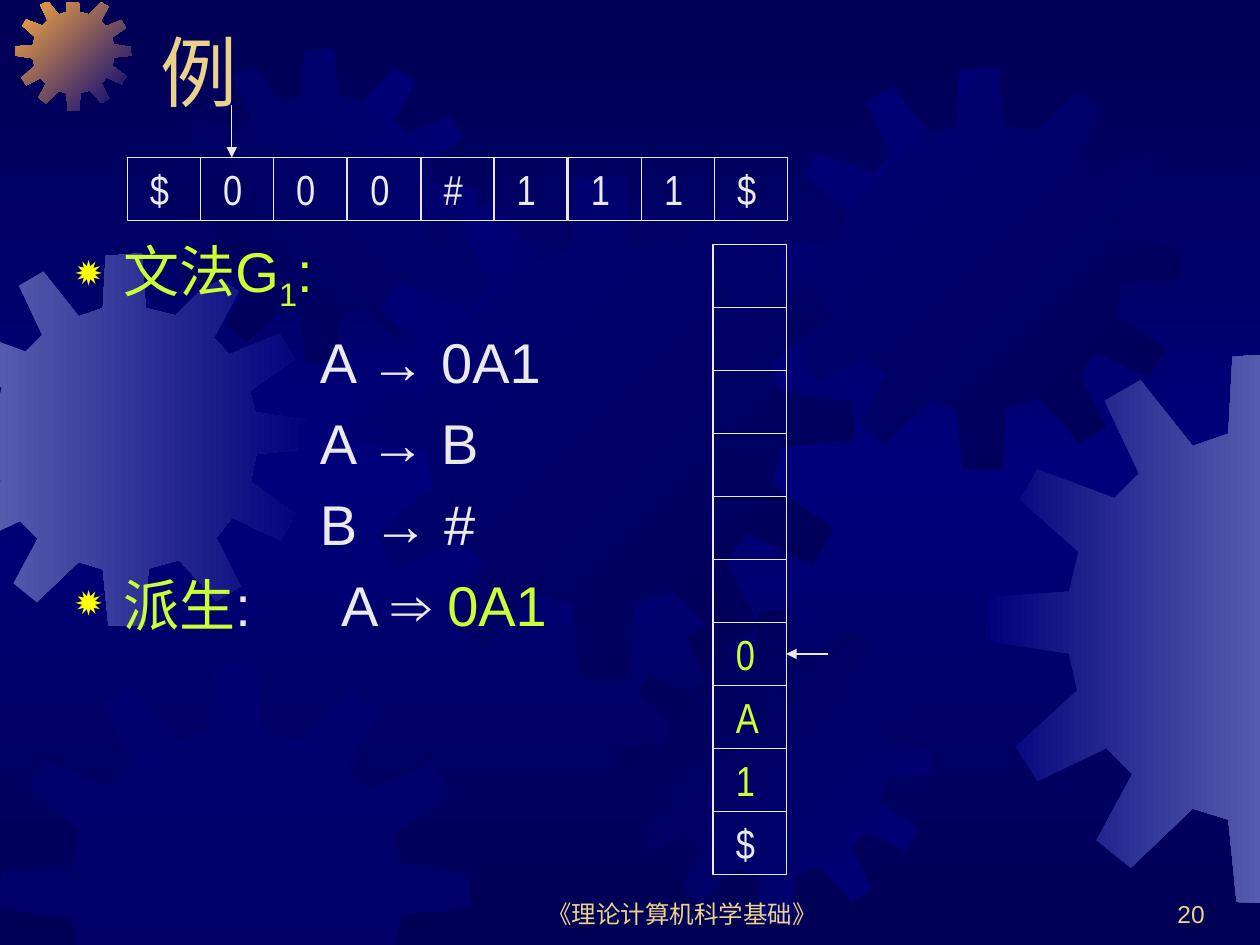
from copy import deepcopy

from lxml import etree
from pptx import Presentation, util as u
from pptx.dml.color import RGBColor
from pptx.enum import shapes, text
from pptx.oxml.ns import qn

PX = 9144  # 100 px to the inch
NIGHT = RGBColor(0x00, 0x00, 0x54)
NAVY = RGBColor(0x00, 0x00, 0x7A)
STEEL = RGBColor(0x55, 0x5B, 0xAD)
ORANGE = RGBColor(0xFC, 0xAB, 0x40)
SAND = RGBColor(0xEB, 0xD1, 0x89)
WHITE = RGBColor(0xEA, 0xEA, 0xEA)
LIME = RGBColor(0xCC, 0xFF, 0x33)

# One gear outline on a 401 unit square; every gear is a scaled version of it
GEAR = [tuple(map(int, point.split(","))) for point in """
255,67 223,59 219,0 180,3 177,59 151,68 113,20 87,35 112,88 94,106 38,85 25,107
68,145 61,174 1,178 0,210 61,219 67,246 22,287 38,312 88,288 107,307 81,355
106,375 151,332 177,340 183,400 222,401 226,339 259,330 299,374 325,358 299,306
316,284 368,309 384,281 336,246 342,216 401,210 400,180 341,171 335,148 383,114
367,87 313,109 296,91 323,41 297,25""".split()]
# Axis, direction and limit of each edge where gears are cut off
EDGES = [(0, 1, -1), (0, -1, 1001), (1, 1, 2), (1, -1, 754)]

prs = Presentation()
prs.slide_width, prs.slide_height = 1000 * PX, 750 * PX
slide = prs.slides.add_slide(prs.slide_layouts[5])


def add_gear(left, top, size):
    points = [(left + x * size / 401, top + y * size / 401) for x, y in GEAR]
    for axis, sign, limit in EDGES:
        kept = []
        for a, b in zip(points[-1:] + points[:-1], points):
            inside_a, inside_b = ((p[axis] - limit) * sign >= 0 for p in (a, b))
            if inside_a != inside_b:
                t = (limit - a[axis]) / (b[axis] - a[axis])
                kept.append((a[0] + t * (b[0] - a[0]), a[1] + t * (b[1] - a[1])))
            if inside_b:
                kept.append(b)
        points = kept
    corners = [(round(x * PX), round(y * PX)) for x, y in points]
    outline = slide.shapes.build_freeform(*corners[0])
    outline.add_line_segments(corners[1:], close=True)
    gear = outline.convert_to_shape()
    gear.shadow.inherit = False
    gear.line.fill.background()
    return gear


def style(paragraph, size, color, align=text.PP_ALIGN.LEFT, face="Arial"):
    paragraph.alignment = align
    paragraph.font.size = u.Pt(size)
    paragraph.font.name = face
    paragraph.font.color.rgb = color


# Background: dark, lighter, dark from top to bottom
backdrop = slide.background.fill
backdrop.gradient()
backdrop.gradient_angle = 270
stops = slide.element.find(".//" + qn("a:gsLst"))
middle = deepcopy(stops[0])
middle.set("pos", "50000")
stops.insert(1, middle)
for stop, color in zip(backdrop.gradient_stops, (NIGHT, NAVY, NIGHT)):
    stop.color.rgb = color

# Gears: left, top, size, first colour, last colour, counter-clockwise angle
for left, top, size, first, last, angle in [
    (-49, 201, 296, STEEL, NAVY, 0),
    (12, -4, 92, ORANGE, NAVY, 315),
    (130, 39, 248, NIGHT, NAVY, 45),
    (277, 139, 401, NAVY, NIGHT, 315),
    (0, 525, 374, NAVY, None, 0),
    (491, 484, 248, NIGHT, NAVY, 315),
    (618, 53, 320, NAVY, NIGHT, 315),
    (782, 280, 437, NAVY, STEEL, 0),
]:
    gear = add_gear(left, top, size)
    if last is None:  # half-transparent plain gear
        gear.fill.solid()
        gear.fill.fore_color.rgb = first
        solid = gear.fill._xPr.find(qn("a:solidFill"))
        etree.SubElement(solid[0], qn("a:alpha"), val="50000")
        continue
    gear.fill.gradient()
    gear.fill.gradient_angle = angle
    for stop, color in zip(gear.fill.gradient_stops, (first, last)):
        stop.color.rgb = color

# Title, brought in front of the gears
title = slide.shapes.title
title.element.getparent().append(title.element)
title.left, title.top, title.width, title.height = (v * PX for v in (117, -27, 850, 125))
title.text_frame.text = "例"
title.text_frame.vertical_anchor = text.MSO_ANCHOR.BOTTOM
style(title.text_frame.paragraphs[0], 44, SAND)

# Footer and page number
for left, width, words, align in [
    (383, 317, "《理论计算机科学基础》", text.PP_ALIGN.CENTER),
    (758, 208, "20", text.PP_ALIGN.RIGHT),
]:
    footer = slide.shapes.add_textbox(left * PX, 692 * PX, width * PX, 50 * PX).text_frame
    footer.word_wrap = True
    footer.vertical_anchor = text.MSO_ANCHOR.BOTTOM
    footer.text = words
    style(footer.paragraphs[0], 14, SAND, align)

# Grammar and derivation
grammar = slide.shapes.add_textbox(50 * PX, 183 * PX, 521 * PX, 508 * PX).text_frame
grammar.word_wrap = True
for i, (bulleted, runs) in enumerate([
    (True, [("文法G", LIME), ("1", LIME), (":", LIME)]),
    (False, [("A → 0A1", WHITE)]),
    (False, [("A → B", WHITE)]),
    (False, [("B → #", WHITE)]),
    (True, [("派生", LIME), (":\tA ⇒ ", WHITE), ("0A1", LIME)]),
]):
    line = grammar.add_paragraph() if i else grammar.paragraphs[0]
    props = line._p.get_or_add_pPr()
    if i:
        line.space_before = u.Pt(8)
    props.set("marL", str((38 if bulleted else 194) * PX))
    if bulleted:
        props.set("indent", str(-38 * PX))
        bullet_color = etree.SubElement(props, qn("a:buClr"))
        etree.SubElement(bullet_color, qn("a:srgbClr"), val="FFFF00")
        etree.SubElement(props, qn("a:buSzPct"), val="80000")
        etree.SubElement(props, qn("a:buChar"), char="✹")
        tabs = etree.SubElement(props, qn("a:tabLst"))
        etree.SubElement(tabs, qn("a:tab"), pos=str(211 * PX), algn="l")
    style(line, 32, WHITE)
    for words, color in runs:
        run = line.add_run()
        run.text = words
        run.font.color.rgb = color
        if words == "1":
            run.font._element.set("baseline", "-25000")

# Input tape across, stack down
tape = [(101 + i * 175 // 3, 125, symbol, WHITE) for i, symbol in enumerate("$000#111$")]
stack = [(566, 194 + i * 50, symbol, WHITE if symbol == "$" else LIME)
         for i, symbol in enumerate([""] * 6 + list("0A1$"))]
for left, top, symbol, color in tape + stack:
    cell = slide.shapes.add_shape(shapes.MSO_SHAPE.RECTANGLE, left * PX, top * PX, 58 * PX, 50 * PX)
    cell.shadow.inherit = False
    cell.fill.background()
    cell.line.color.rgb = WHITE
    cell.line.width = u.Pt(0.75)
    if symbol:
        frame = cell.text_frame
        frame.margin_left, frame.margin_right = 18 * PX, 0
        frame.vertical_anchor = text.MSO_ANCHOR.MIDDLE
        frame.text = symbol
        style(frame.paragraphs[0], 24, color, face="Arial Narrow")

# Read head and stack pointer
for ends in [(184, 83, 184, 125), (657, 519, 624, 519)]:
    pointer = slide.shapes.add_connector(shapes.MSO_CONNECTOR.STRAIGHT, *(v * PX for v in ends))
    pointer.line.color.rgb = WHITE
    pointer.line.width = u.Pt(0.75)
    etree.SubElement(pointer.line._get_or_add_ln(), qn("a:tailEnd"), type="triangle")
    etree.SubElement(pointer._element.spPr, qn("a:effectLst"))

prs.save("out.pptx")
